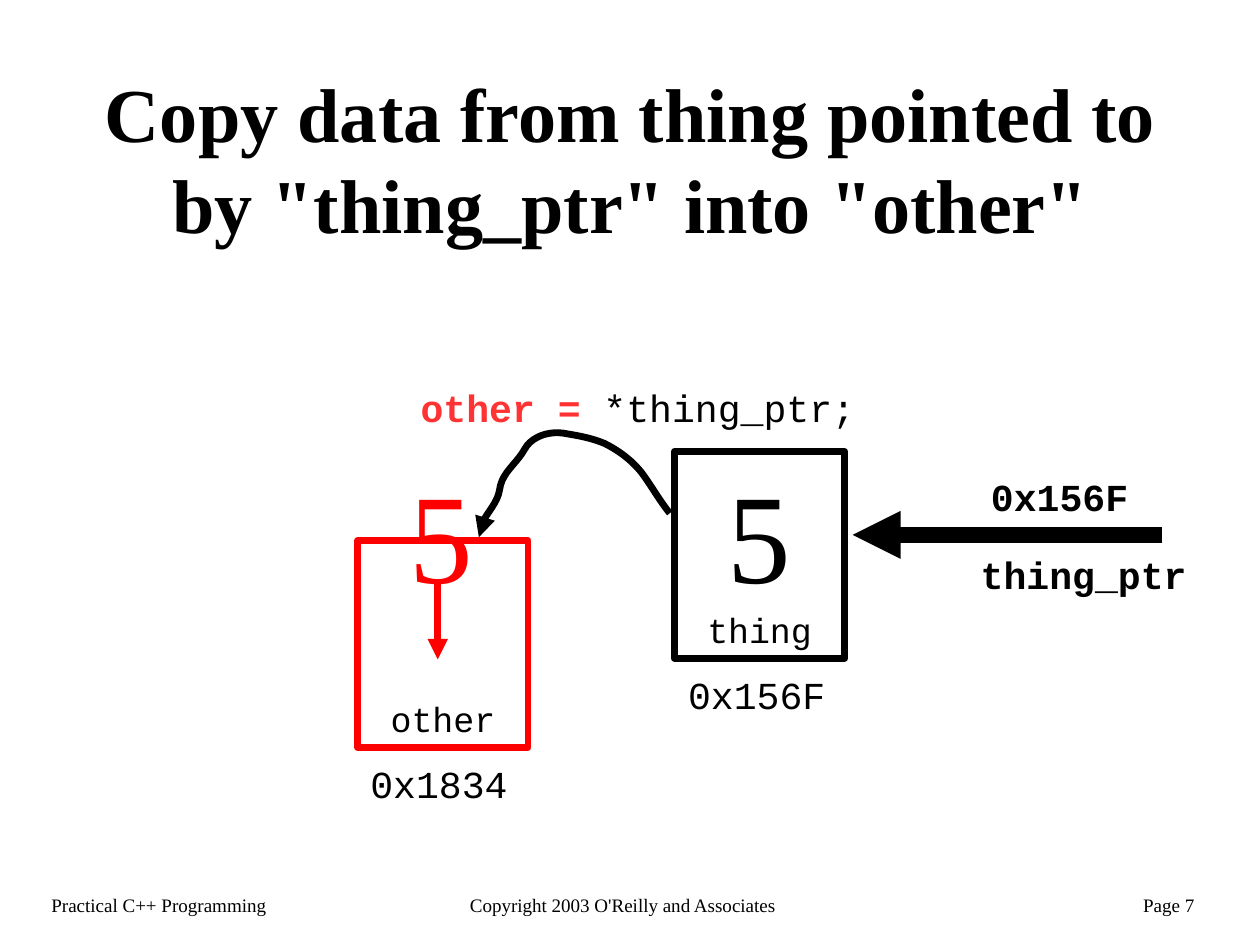
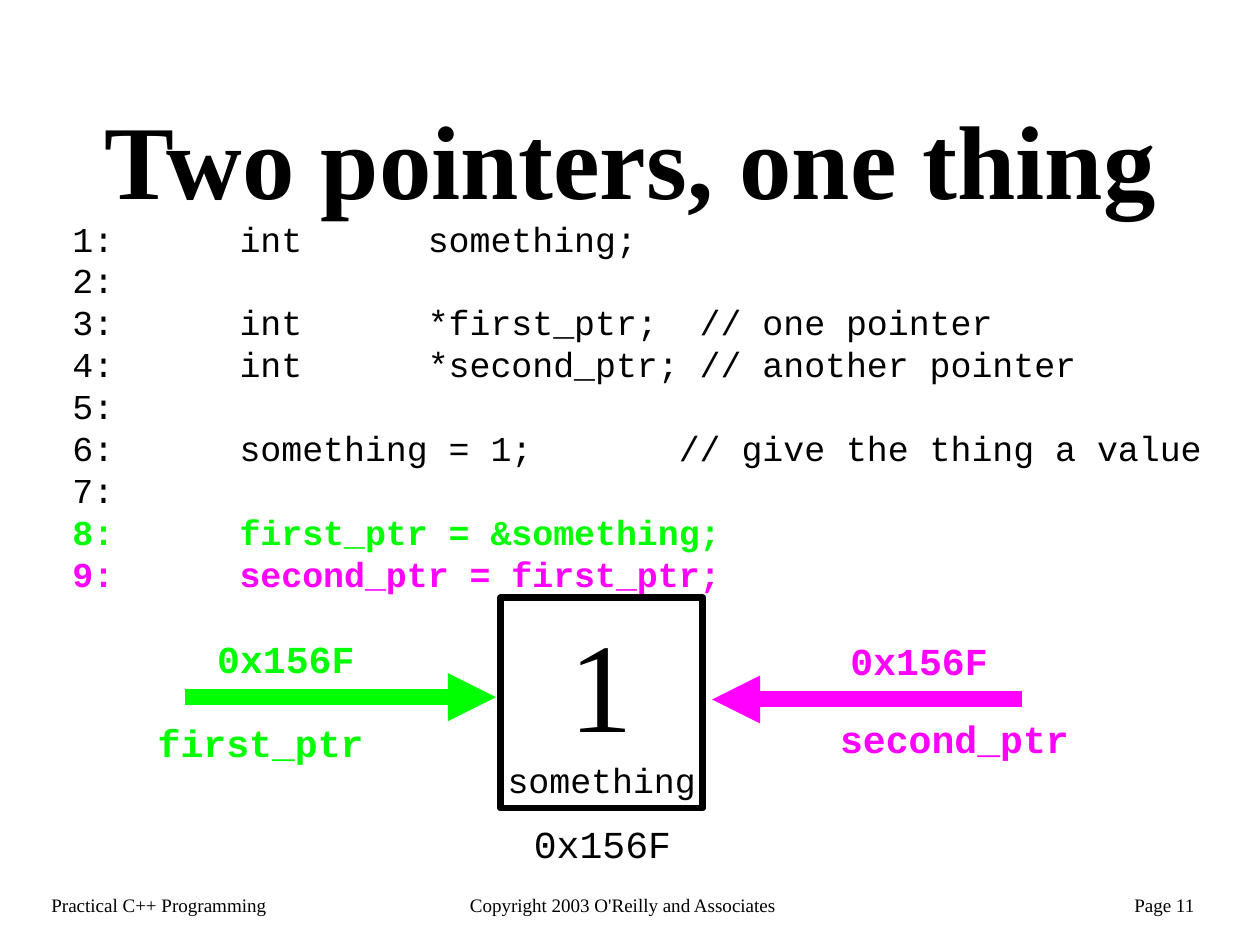
from dataclasses import dataclass

from lxml import etree
from pptx import Presentation
from pptx import util as u
from pptx.dml.color import RGBColor
from pptx.enum import shapes, text
from pptx.oxml import ns

Inches, Pt = u.Inches, u.Pt


# Theme: colours, fonts and sizes shared by all slides
@dataclass(frozen=True)
class Theme:
    black: str = "000000"
    white: str = "FFFFFF"
    red: str = "FF0000"
    light_red: str = "FF3333"
    green: str = "00FF00"
    magenta: str = "FF00FF"
    serif: str = "Times New Roman"
    mono: str = "Courier New"
    footer: float = 12
    code: float = 22
    label: float = 24
    value: float = 80
    leading: float = 1.2
    thin: float = 4.31
    thick: float = 10.09


T = Theme()


@dataclass(frozen=True)
class Span:
    text: str
    size: float = T.label
    font: str = T.mono
    color: str = T.black
    bold: bool = False


@dataclass(frozen=True)
class MemoryBox:
    left: float
    top: float
    width: float
    height: float
    name: str
    address: str
    address_left: float
    value: str = ""
    color: str = T.black


@dataclass(frozen=True)
class Pointer:
    start: float
    end: float
    y: float
    name: str
    address: str
    name_left: float
    address_left: float
    color: str = T.black
    name_drop: float = 0.14


# Text helpers
def write(tf, lines: list[list[Span]], align=text.PP_ALIGN.LEFT, **frame) -> None:
    """Fill a text frame, one list of spans to a paragraph."""
    settings = {"margin_left": 0, "margin_top": 0, "margin_right": 0,
                "margin_bottom": 0, "word_wrap": True, **frame}
    for name, value in settings.items():
        setattr(tf, name, value)
    for i, spans in enumerate(lines):
        p = tf.paragraphs[0] if i == 0 else tf.add_paragraph()
        p.alignment = align
        p.line_spacing = Pt(spans[0].size * T.leading)
        for span in spans:
            r = p.add_run()
            r.text = span.text
            look = {"size": Pt(span.size), "name": span.font, "bold": span.bold}
            for name, value in look.items():
                setattr(r.font, name, value)
            r.font.color.rgb = RGBColor.from_string(span.color)


def add_label(s, left: float, top: float, width: float, spans: list[Span],
              height: float = 0.38) -> None:
    sp = s.shapes.add_textbox(Inches(left), Inches(top), Inches(width), Inches(height))
    write(sp.text_frame, [spans])


def mono_width(words: str) -> float:
    """Width of a monospaced label, with a little room to spare."""
    return len(words) * 0.2 + 0.05


# Line helpers
def style_line(sp, color: str, width: float, arrow: bool = True) -> None:
    sp.line.color.rgb = RGBColor.from_string(color)
    sp.line.width = Pt(width)
    if arrow:
        etree.SubElement(sp.line._get_or_add_ln(), ns.qn("a:tailEnd"), type="triangle")


def add_arrow(s, start: tuple[float, float], end: tuple[float, float],
              color: str, width: float) -> None:
    ends = [Inches(v) for v in (*start, *end)]
    sp = s.shapes.add_connector(shapes.MSO_CONNECTOR.STRAIGHT, *ends)
    style_line(sp, color, width)
    etree.SubElement(sp._element.spPr, ns.qn("a:effectLst"))


def add_curved_arrow(s, points: list[tuple[float, float]],
                     end: tuple[float, float], steps: int = 10) -> None:
    """Trace joined cubic curves (start, then three points each) to an arrowhead."""
    trace = []
    for i in range(0, len(points) - 1, 3):
        for k in range(1, steps + 1):
            t = k / steps
            weights = ((1 - t) ** 3, 3 * t * (1 - t) ** 2, 3 * t * t * (1 - t), t ** 3)
            trace.append(tuple(
                Inches(sum(w * pt[axis] for w, pt in zip(weights, points[i:i + 4])))
                for axis in (0, 1)))
    trace.append((Inches(end[0]), Inches(end[1])))
    fb = s.shapes.build_freeform(Inches(points[0][0]), Inches(points[0][1]))
    fb.add_line_segments(trace, close=False)
    sp = fb.convert_to_shape()
    sp.shadow.inherit = False
    sp.fill.background()
    style_line(sp, T.black, T.thin)


# Diagram parts
def add_memory_box(s, box: MemoryBox) -> None:
    area = [Inches(v) for v in (box.left, box.top, box.width, box.height)]
    sp = s.shapes.add_shape(shapes.MSO_SHAPE.RECTANGLE, *area)
    sp.shadow.inherit = False
    sp.fill.solid()
    sp.fill.fore_color.rgb = RGBColor.from_string(T.white)
    style_line(sp, box.color, T.thin, arrow=False)
    lines = [[Span(box.name, T.code)]]
    if box.value:
        lines.insert(0, [Span(box.value, T.value, T.serif)])
    write(sp.text_frame, lines, text.PP_ALIGN.CENTER, margin_left=Inches(0.03),
          margin_right=Inches(0.03), margin_bottom=Inches(0.07),
          vertical_anchor=text.MSO_ANCHOR.BOTTOM)
    add_label(s, box.address_left, box.top + box.height + 0.11,
              mono_width(box.address), [Span(box.address)], 0.36)


def add_pointer(s, ptr: Pointer) -> None:
    add_arrow(s, (ptr.start, ptr.y), (ptr.end, ptr.y), ptr.color, T.thick)
    for words, left, shift in ((ptr.address, ptr.address_left, -0.54),
                               (ptr.name, ptr.name_left, ptr.name_drop)):
        add_label(s, left, ptr.y + shift, mono_width(words),
                  [Span(words, color=ptr.color, bold=True)])


def add_slide(prs, title: str, size: float, top: float, height: float, page: int):
    """Add a slide with its title and the shared footer."""
    s = prs.slides.add_slide(prs.slide_layouts[5])
    sp = s.shapes.title
    place = {"left": 0.81, "top": top, "width": 9.41, "height": height}
    for name, value in place.items():
        setattr(sp, name, Inches(value))
    write(sp.text_frame, [[Span(title, size, T.serif, bold=True)]],
          text.PP_ALIGN.CENTER, vertical_anchor=text.MSO_ANCHOR.MIDDLE,
          auto_size=text.MSO_AUTO_SIZE.NONE)

    # Footer with a centre and a right tab
    sp = s.shapes.add_textbox(Inches(0.45), Inches(7.82), Inches(10.2), Inches(0.23))
    words = ("Practical C++ Programming\tCopyright 2003 O'Reilly and Associates"
             f"\tPage {page}")
    write(sp.text_frame, [[Span(words, T.footer, T.serif)]])
    pPr = sp.text_frame.paragraphs[0]._p.get_or_add_pPr()
    tabs = etree.SubElement(pPr, ns.qn("a:tabLst"))
    for pos, align in ((5, "ctr"), (10, "r")):
        etree.SubElement(tabs, ns.qn("a:tab"), pos=str(Inches(pos)), algn=align)
    return s


# Slides
def build_copy_slide(prs) -> None:
    s = add_slide(prs, 'Copy data from thing pointed to by "thing_ptr" into "other"',
                  48, 0.64, 1.48, 7)
    add_memory_box(s, MemoryBox(5.9, 3.95, 1.49, 1.81, "thing", "0x156F", 6.02, "5"))
    add_label(s, 3.68, 3.36, 4, [Span("other = ", color=T.light_red, bold=True),
                                 Span("*thing_ptr;")])
    add_memory_box(s, MemoryBox(3.13, 4.73, 1.49, 1.81, "other", "0x1834", 3.24,
                                color=T.red))
    # The value dropping into its new place
    add_label(s, 3.58, 3.99, 0.62, [Span("5", T.value, T.serif, T.red)], 1.51)
    add_curved_arrow(s, [
        (5.86, 4.49), (5.77, 4.38), (5.7, 4.25), (5.61, 4.13),
        (5.52, 4.02), (5.41, 3.94), (5.29, 3.88),
        (5.17, 3.83), (5.05, 3.81), (4.93, 3.79),
        (4.8, 3.77), (4.65, 3.82), (4.59, 3.93),
        (4.52, 4.06), (4.39, 4.13), (4.37, 4.29),
        (4.35, 4.42), (4.22, 4.52), (4.19, 4.65)], (4.19, 4.7))
    add_arrow(s, (3.83, 5.09), (3.83, 5.77), T.red, T.thin)
    add_pointer(s, Pointer(10.17, 7.46, 4.68, "thing_ptr", "0x156F", 8.58, 8.67))


def build_two_pointers_slide(prs) -> None:
    s = add_slide(prs, "Two pointers, one thing", 66, 0.69, 1.38, 11)
    # Program listing
    listing = [
        " 1:      int      something;",
        " 2:",
        " 3:      int      *first_ptr;  // one pointer",
        " 4:      int      *second_ptr; // another pointer",
        " 5:",
        " 6:      something = 1;       // give the thing a value",
        " 7:",
        " 8:      first_ptr = &something;",
        " 9:      second_ptr = first_ptr;",
    ]
    marked = {7: T.green, 8: T.magenta}
    lines = [[Span(line, T.code, color=marked.get(i, T.black), bold=i in marked)]
             for i, line in enumerate(listing)]
    sp = s.shapes.add_textbox(Inches(0.45), Inches(1.9), Inches(10.17), Inches(3.31))
    write(sp.text_frame, lines)

    # Both pointers meet at one variable
    add_memory_box(s, MemoryBox(4.38, 5.23, 1.77, 1.84, "something", "0x156F", 4.67, "1"))
    for ptr in (
        Pointer(8.94, 6.23, 6.12, "second_ptr", "0x156F", 7.35, 7.44, T.magenta),
        Pointer(1.62, 4.34, 6.1, "first_ptr", "0x156F", 1.38, 1.9, T.green, 0.19),
    ):
        add_pointer(s, ptr)


def main() -> None:
    prs = Presentation()
    # 28 by 21 cm, or 11.02 by 8.27 inches
    prs.slide_width, prs.slide_height = u.Cm(28), u.Cm(21)
    build_copy_slide(prs)
    build_two_pointers_slide(prs)
    prs.save("out.pptx")


if __name__ == "__main__":
    main()
